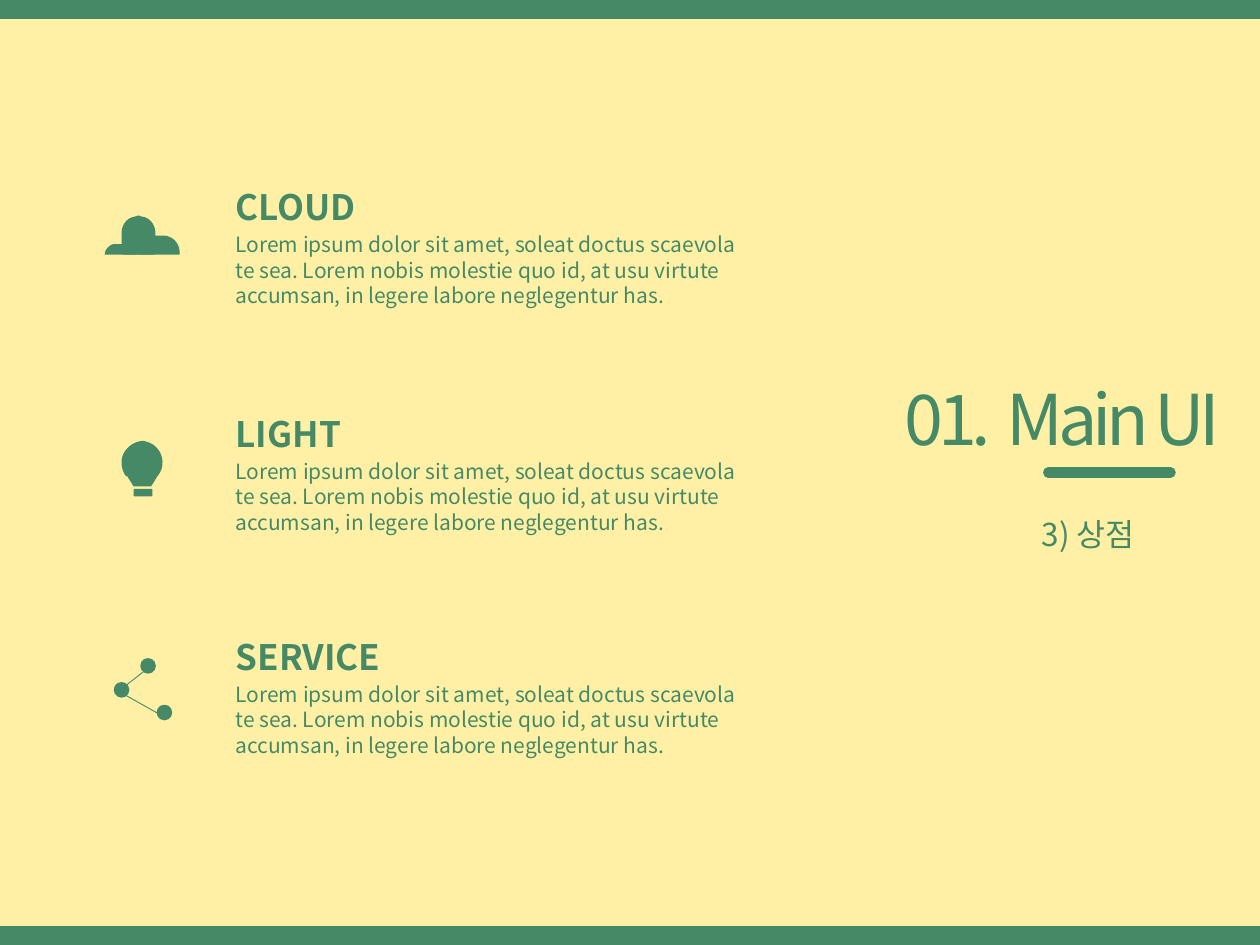
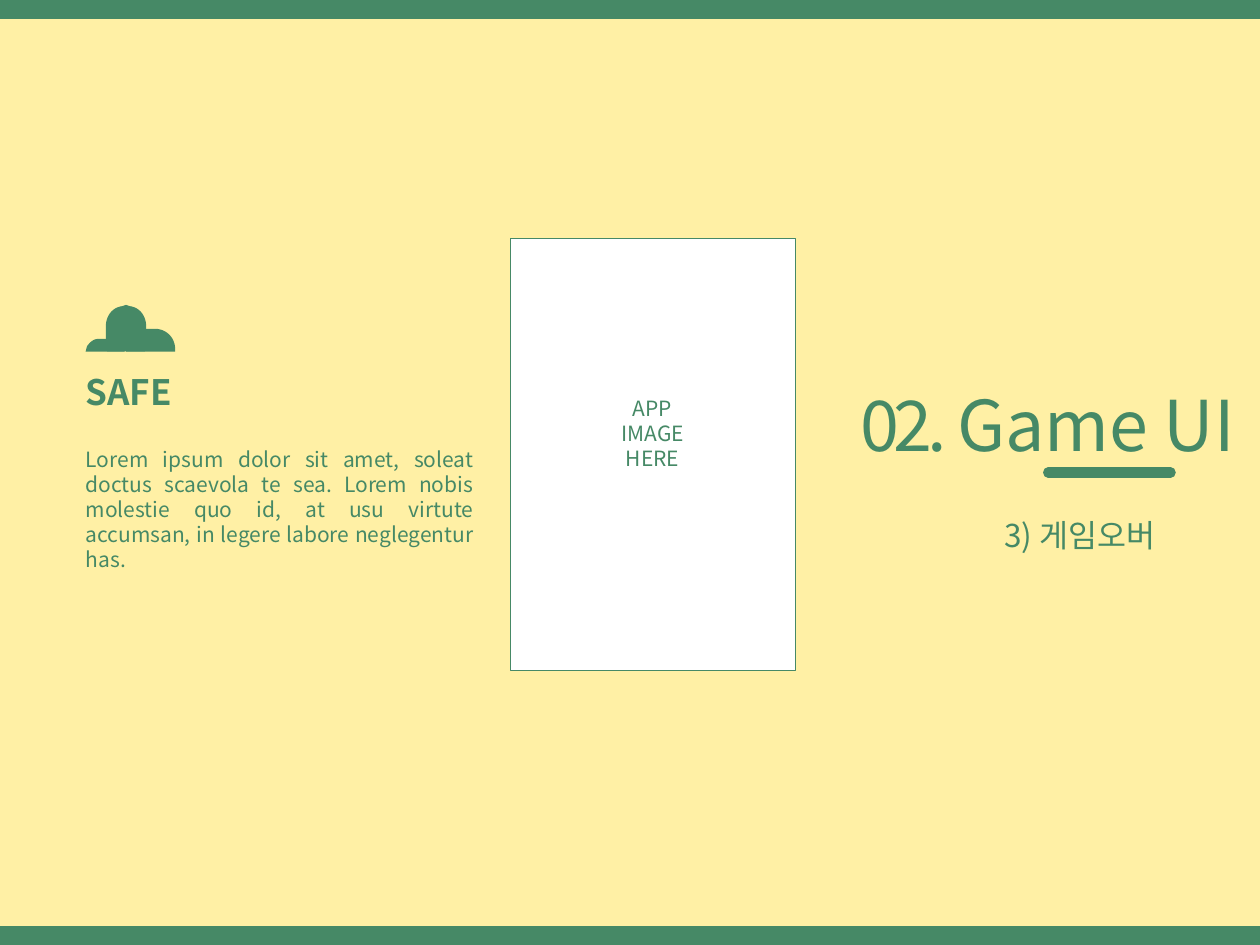
from pptx import Presentation
from pptx import util as u
from pptx.dml.color import RGBColor
from pptx.enum import shapes, text
from pptx.oxml.ns import qn
from lxml import etree

GREEN, CREAM, WHITE = "468966", "FFF0A5", "FFFFFF"
FONT = "Noto Sans CJK KR"
COLUMNS, ROWS = 100, 75
LEFT, CENTER, RIGHT, JUSTIFY = (
    text.PP_ALIGN.LEFT, text.PP_ALIGN.CENTER, text.PP_ALIGN.RIGHT, text.PP_ALIGN.JUSTIFY)

LOREM = ("Lorem ipsum dolor sit amet, soleat doctus scaevola te sea. Lorem nobis "
         "molestie quo id, at usu virtute accumsan, in legere labore neglegentur has.")

CLOUD_PUFFS = [
    [(1, 2.7), (2.1, 2.7), (2.5, 2.7, 2.9, 3, 3, 3.3), (3.1, 3.7), (0, 3.7),
     (0.1, 3.3), (0.3, 3, 0.6, 2.7, 1, 2.7)],
    [(3.2, 0), (3.5, 0.1), (4.3, 0.2, 4.8, 0.9, 4.8, 1.7), (4.8, 3.1), (4.7, 3.7),
     (1.7, 3.7), (1.6, 3.1), (1.6, 1.7), (1.6, 0.9, 2.1, 0.2, 2.9, 0.1)],
    [(4.8, 1.9), (5.5, 1.9), (6.4, 1.9, 7.1, 2.6, 7.1, 3.5), (7.1, 3.7), (3.2, 3.7),
     (3.2, 3.5), (3.2, 2.6, 3.9, 1.9, 4.8, 1.9)],
]
BULB_GLASS = [
    (1.6, 0), (1.7, 0), (2.1, 0.1, 2.4, 0.2, 2.7, 0.5), (3.3, 1.1, 3.4, 2.1, 2.8, 2.8),
    (2.3, 3.6), (0.9, 3.6), (0.4, 2.8), (0.3, 2.8), (-0.2, 2.1, -0.2, 1.1, 0.5, 0.5),
    (0.8, 0.2, 1.1, 0.1, 1.5, 0)]


def color(hex_code):
    return RGBColor.from_string(hex_code)


def flatten(outline, steps=12):
    points = [outline[0]]
    for segment in outline[1:]:
        if len(segment) == 2:
            points.append(segment)
            continue
        controls = [points[-1], segment[:2], segment[2:4], segment[4:]]
        for step in range(1, steps + 1):
            t = step / steps
            weights = ((1 - t) ** 3, 3 * t * (1 - t) ** 2, 3 * t * t * (1 - t), t ** 3)
            points.append(tuple(sum(w * c[axis] for w, c in zip(weights, controls))
                                for axis in (0, 1)))
    return points


class Deck:
    def __init__(self):
        self.show = Presentation()
        self.show.slide_width, self.show.slide_height = u.Inches(10), u.Inches(7.5)
        self.column = self.show.slide_width / COLUMNS
        self.row = self.show.slide_height / ROWS

    def place(self, x, y):
        return round(x * self.column), round(y * self.row)

    def new_slide(self):
        self.slide = self.show.slides.add_slide(self.show.slide_layouts[6])
        self.canvas = self.slide.shapes
        background = self.slide.background.fill
        background.solid()
        background.fore_color.rgb = color(CREAM)
        for top in (0, ROWS - 1.5):
            self.shape("RECTANGLE", 0, top, COLUMNS, 1.5)

    def group(self):
        self.canvas = self.slide.shapes.add_group_shape().shapes

    def ungroup(self):
        self.canvas = self.slide.shapes

    def paint(self, shape, fill=GREEN, line_width=0):
        shape.shadow.inherit = False
        shape.fill.solid()
        shape.fill.fore_color.rgb = color(fill)
        if line_width:
            shape.line.color.rgb = color(GREEN)
            shape.line.width = u.Pt(line_width)
        else:
            shape.line.fill.background()

    def shape(self, kind, x, y, width, height, **style):
        shape = self.canvas.add_shape(getattr(shapes.MSO_SHAPE, kind),
                                      *self.place(x, y), *self.place(width, height))
        self.paint(shape, **style)
        return shape

    def outline(self, segments, x, y, scale=1):
        points = [self.place(x + px * scale, y + py * scale) for px, py in flatten(segments)]
        builder = self.canvas.build_freeform(*points[0], scale=1.0)
        builder.add_line_segments(points[1:], close=True)
        self.paint(builder.convert_to_shape())

    def line(self, start, end, width, cap="flat"):
        line = self.canvas.add_connector(shapes.MSO_CONNECTOR.STRAIGHT,
                                         *self.place(*start), *self.place(*end))
        line.line.color.rgb = color(GREEN)
        line.line.width = u.Pt(width)
        properties = line._element.spPr
        properties.find(qn("a:ln")).set("cap", cap)
        etree.SubElement(properties, qn("a:effectLst"))

    def text(self, paragraphs, x, y, width, height, size=12, bold=False, align=LEFT,
             inset=0, spacing=None):
        box = self.canvas.add_textbox(*self.place(x, y), *self.place(width, height))
        frame = box.text_frame
        frame.word_wrap = True
        frame.auto_size = text.MSO_AUTO_SIZE.SHAPE_TO_FIT_TEXT
        frame.margin_left = frame.margin_right = u.Inches(inset)
        frame.margin_top = frame.margin_bottom = u.Inches(inset / 2)
        for index, runs in enumerate(paragraphs):
            paragraph = frame.add_paragraph() if index else frame.paragraphs[0]
            paragraph.alignment = align
            paragraph.line_spacing = spacing
            font = paragraph.font
            font.name, font.size, font.bold = FONT, u.Pt(size), bold
            font.color.rgb = color(GREEN)
            latin = paragraph._p.pPr.find(qn("a:defRPr")).find(qn("a:latin"))
            east_asian = etree.Element(qn("a:ea"), typeface=FONT)
            latin.addnext(east_asian)
            for words, tracking in runs:
                run = paragraph.add_run()
                run.text = words
                if tracking:
                    run._r.get_or_add_rPr().set("spc", str(tracking * 100))

    def title(self, runs, x, y, width):
        self.text([runs], x, y, width, 6.9, size=40, align=RIGHT, spacing=u.Pt(50))
        self.line((83.2, 37.5), (92.9, 37.5), 6, cap="rnd")

    def subtitle(self, words, x, y, width):
        self.text([[(words, 0)]], x, y, width, 4, size=18, inset=0.1)

    def heading(self, words, x, y, width):
        self.text([[(words, 0)]], x, y, width, 3.4, size=20, bold=True)

    def body(self, x, y, width, height, align=LEFT):
        self.text([[(LOREM, 0)]], x, y, width, height, align=align)

    def cloud(self, x, y, scale=1):
        self.group()
        for puff in CLOUD_PUFFS:
            self.outline(puff, x, y, scale)
        self.ungroup()

    def bulb(self, x, y):
        self.group()
        self.outline(BULB_GLASS, x, y)
        self.shape("ROUNDED_RECTANGLE", x + 0.9, y + 3.8, 1.5, 0.6)
        self.ungroup()

    def network(self, x, y):
        self.group()
        for dx, dy in ((2.1, 0), (0, 1.9), (3.4, 3.7)):
            self.shape("OVAL", x + dx, y + dy, 1.1, 1.1, line_width=1)
        self.line((x + 2.3, y + 1), (x + 0.9, y + 2.1), 0.5)
        self.line((x + 0.9, y + 2.9), (x + 3.4, y + 4.3), 0.5)
        self.ungroup()

    def app_screen(self, x, y, width, height):
        self.group()
        screen = self.shape("ROUNDED_RECTANGLE", x, y, width, height,
                            fill=WHITE, line_width=0.25)
        screen.adjustments[0] = 0
        self.text([[(word, 0)] for word in ("APP", "IMAGE", "HERE")],
                  x, y + 12.5, width, 5, align=CENTER)
        self.ungroup()


def main():
    deck = Deck()

    deck.new_slide()
    deck.title([("01.  Main UI", -3)], 69.7, 29.5, 27.1)
    deck.cloud(8.3, 17.1, scale=0.84)
    deck.bulb(9.7, 35)
    deck.network(9.1, 52.3)
    for feature, top in (("CLOUD", 14.7), ("LIGHT", 32.7), ("SERVICE", 50.4)):
        deck.heading(feature, 18.7, top, 40.1)
        deck.body(18.7, top + 3.7, 40, 6.1)
    deck.subtitle("3) 상점", 81.7, 40.4, 9.6)

    deck.new_slide()
    deck.title([("02. ", -3), ("Game UI", 0)], 66, 30, 32)
    deck.cloud(6.8, 24.2)
    deck.heading("SAFE", 6.8, 29.4, 30.8)
    deck.body(6.8, 35.4, 30.8, 8.1, align=JUSTIFY)
    deck.app_screen(40.5, 18.9, 22.6, 34.3)
    deck.subtitle("3) 게임오버", 78.7, 40.5, 18.8)

    deck.show.save("out.pptx")


if __name__ == "__main__":
    main()
